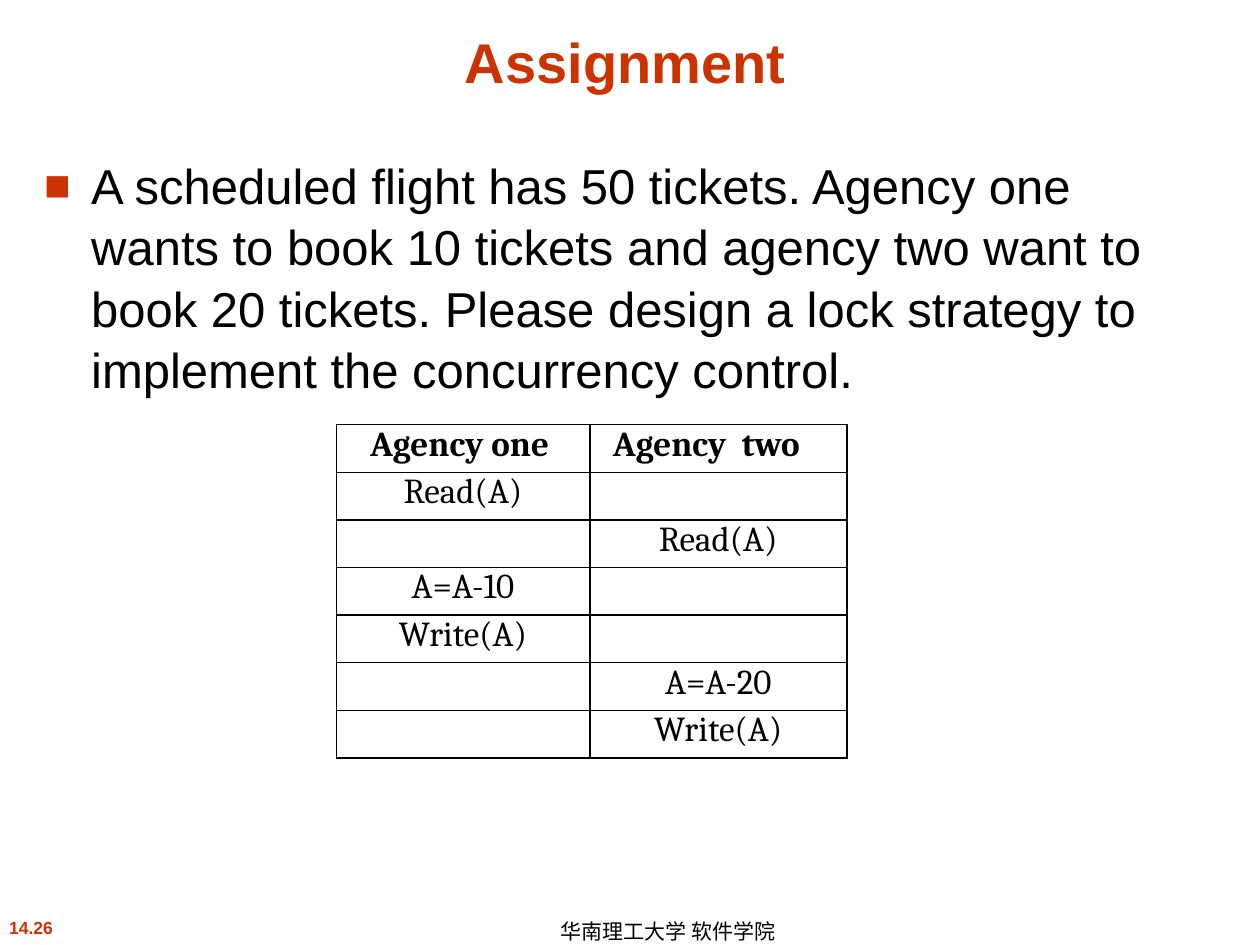
from dataclasses import dataclass

from lxml.etree import SubElement
from pptx import Presentation
from pptx.dml.color import RGBColor
from pptx.enum.text import MSO_ANCHOR as Anchor, MSO_AUTO_SIZE as AutoSize, PP_ALIGN as Align
from pptx.oxml.ns import qn
from pptx.util import Cm, Pt


@dataclass(frozen=True)
class Theme:
    accent: str = "CC3300"
    ink: str = "000000"
    paper: str = "FFFFFF"
    sans: str = "Arial"
    serif: str = "Cambria"
    title: int = 32
    body: int = 28
    table: int = 20
    footer: int = 12
    number: int = 10


THEME = Theme()

# One row per step: agency one, agency two
SCHEDULE = [
    ("Agency one", "Agency  two"),
    ("Read(A)", ""),
    ("", "Read(A)"),
    ("A=A-10", ""),
    ("Write(A)", ""),
    ("", "A=A-20"),
    ("", "Write(A)"),
]
HEADING_SHIFTS = (0.14, 0.48)  # right insets of the two headings


def apply_format(target, **values):
    for name, value in values.items():
        setattr(target, name, value)


def write(frame, text, size, color=THEME.ink, font=THEME.sans, bold=False, **paragraph_format):
    paragraph = frame.paragraphs[0]
    paragraph.text = text
    apply_format(paragraph, **paragraph_format)
    apply_format(paragraph.font, name=font, size=Pt(size), bold=bold)
    paragraph.font.color.rgb = RGBColor.from_string(color)
    for run in paragraph.runs:
        apply_format(run.font, name=font, size=Pt(size), bold=bold)
        run.font.color.rgb = RGBColor.from_string(color)
    return paragraph


def add_title(slide, text):
    title = slide.shapes.title
    apply_format(title, left=Cm(0.64), top=Cm(0.33), width=Cm(23.93), height=Cm(1.7))
    apply_format(title.text_frame, vertical_anchor=Anchor.BOTTOM, auto_size=AutoSize.NONE)
    write(title.text_frame, text, THEME.title, THEME.accent, bold=True, alignment=Align.CENTER)


def add_text(slide, box, text, size, color=THEME.ink, bold=False, wrap=False,
             anchor=Anchor.TOP, **paragraph_format):
    frame = slide.shapes.add_textbox(*map(Cm, box)).text_frame
    apply_format(frame, word_wrap=wrap, vertical_anchor=anchor)
    return write(frame, text, size, color, bold=bold, **paragraph_format)


def add_bullet(paragraph, symbol, color, percent, indent):
    properties = paragraph._p.get_or_add_pPr()
    properties.set("marL", str(indent))
    properties.set("indent", str(-indent))
    bullet_color = SubElement(properties, qn("a:buClr"))
    SubElement(bullet_color, qn("a:srgbClr"), val=color)
    SubElement(properties, qn("a:buSzPct"), val=str(percent * 1000))
    SubElement(properties, qn("a:buFont"), typeface=THEME.sans)
    SubElement(properties, qn("a:buChar"), char=symbol)


def add_borders(cell, color, width):
    properties = cell._tc.get_or_add_tcPr()
    for position, side in enumerate(("a:lnL", "a:lnR", "a:lnT", "a:lnB")):
        line = properties.makeelement(qn(side), {"w": str(width)})
        fill = SubElement(line, qn("a:solidFill"))
        SubElement(fill, qn("a:srgbClr"), val=color)
        properties.insert(position, line)  # borders come before the fill


def add_schedule(slide, left, top, column_widths, row_height):
    rows, columns = len(SCHEDULE), len(column_widths)
    table = slide.shapes.add_table(rows, columns, Cm(left), Cm(top),
                                   Cm(sum(column_widths)), Cm(row_height * rows)).table
    for column, width in zip(table.columns, column_widths):
        column.width = Cm(width)
    for row_index, steps in enumerate(SCHEDULE):
        heading = row_index == 0
        table.rows[row_index].height = Cm(row_height)
        for column_index, step in enumerate(steps):
            cell = table.cell(row_index, column_index)
            shift = HEADING_SHIFTS[column_index] if heading else 0
            apply_format(cell, margin_left=0, margin_right=Cm(shift), margin_top=0, margin_bottom=0)
            cell.fill.solid()
            cell.fill.fore_color.rgb = RGBColor.from_string(THEME.paper)
            add_borders(cell, THEME.ink, Pt(1))
            write(cell.text_frame, step, THEME.table, font=THEME.serif, bold=heading,
                  alignment=Align.CENTER)


def main():
    deck = Presentation()
    apply_format(deck, slide_width=Cm(25.4), slide_height=Cm(19.05))
    slide = deck.slides.add_slide(deck.slide_layouts[5])

    # Slide number and footer
    add_text(slide, (-0.1, 18.36, 1.45, 0.69), "14.26", THEME.number, THEME.accent,
             bold=True, alignment=Align.CENTER)
    add_text(slide, (10.19, 18.42, 5.69, 0.64), "华南理工大学 软件学院", THEME.footer,
             anchor=Anchor.MIDDLE, alignment=Align.RIGHT, line_spacing=1.1)

    # Title and task
    add_title(slide, "Assignment")
    task = add_text(
        slide, (0.64, 2.97, 23.93, 14.6),
        "A scheduled flight has 50 tickets. Agency one wants to book 10 tickets and "
        "agency two want to book 20 tickets. Please design a lock strategy to "
        "implement the concurrency control.",
        THEME.body, wrap=True, line_spacing=1.04)
    add_bullet(task, "■", THEME.accent, percent=90, indent=Cm(0.95))

    # Schedule of the two agencies
    add_schedule(slide, left=6.78, top=8.56, column_widths=(5.11, 5.18), row_height=0.96)

    deck.save("out.pptx")


if __name__ == "__main__":
    main()
